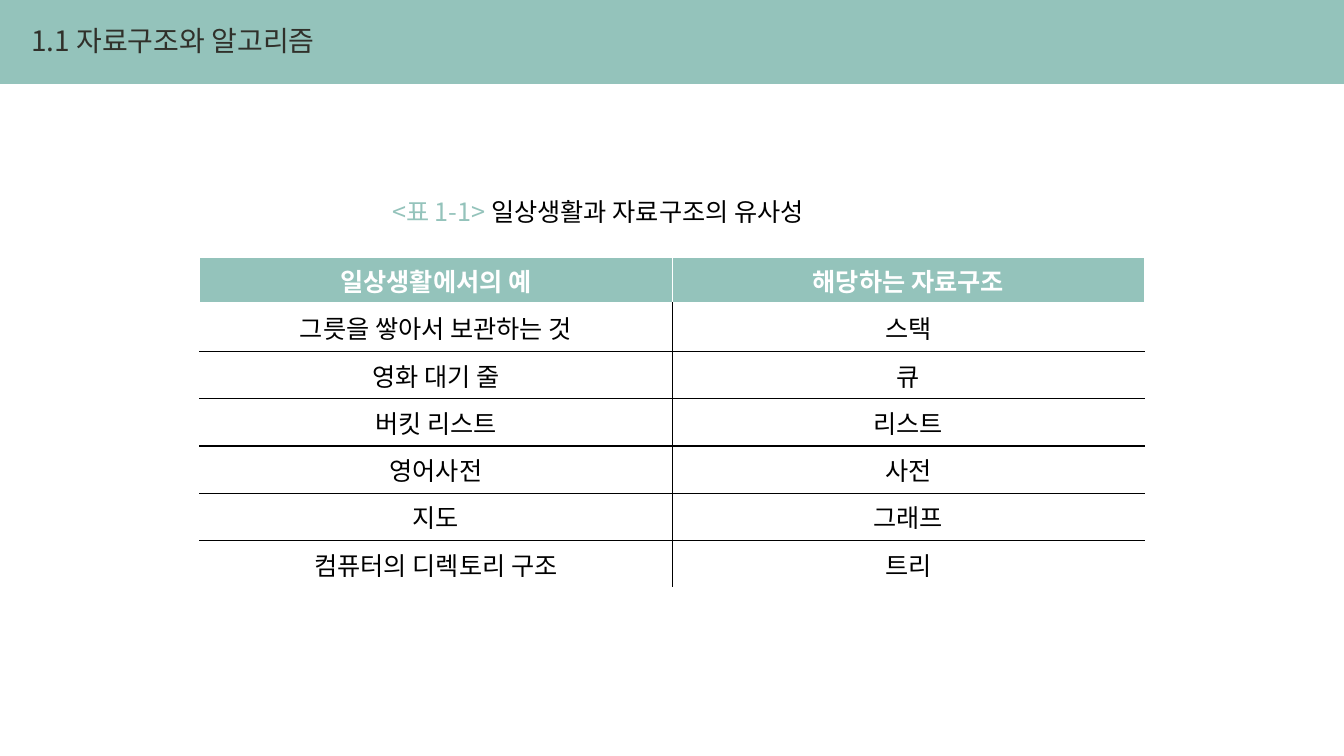
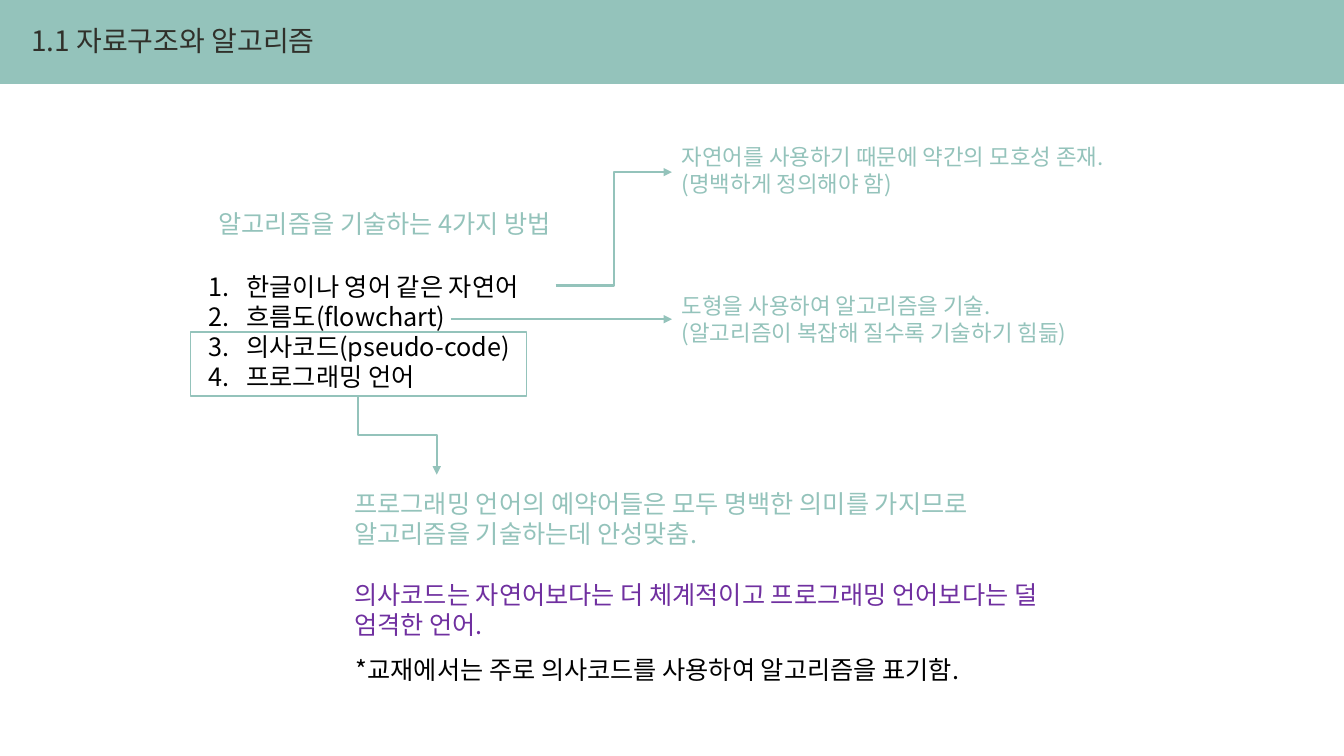
from lxml import etree
from pptx import Presentation
from pptx.dml.color import RGBColor
from pptx.enum.shapes import MSO_CONNECTOR, MSO_SHAPE
from pptx.enum.text import MSO_ANCHOR, PP_ALIGN
from pptx.oxml.ns import qn
from pptx.util import Pt

TEAL = RGBColor(0x94, 0xC3, 0xBB)
DARK = RGBColor(0x30, 0x30, 0x2A)
PURPLE = RGBColor(0x70, 0x30, 0xA0)
BLACK = RGBColor(0, 0, 0)
WHITE = RGBColor(255, 255, 255)
FONT = "Noto Sans CJK KR"
STRAIGHT, ELBOW = MSO_CONNECTOR.STRAIGHT, MSO_CONNECTOR.ELBOW
RECTANGLE = MSO_SHAPE.RECTANGLE
LEFT, CENTER = PP_ALIGN.LEFT, PP_ALIGN.CENTER
MIDDLE = MSO_ANCHOR.MIDDLE
TITLE = "1.1 자료구조와 알고리즘"


def add_run(p, text, size=18, color=BLACK, bold=False):
    """Append a run set in FONT for both Latin and Korean text."""
    r = p.add_run()
    r.text = text
    r.font.size = Pt(size)
    r.font.bold = bold
    r.font.color.rgb = color
    r.font.name = FONT
    etree.SubElement(r._r.get_or_add_rPr(), qn("a:ea"), typeface=FONT)


def add_text(s, left, top, width, height, *lines, numbered=False, **fmt):
    """Add a text box with one paragraph per line."""
    box = s.shapes.add_textbox(Pt(left), Pt(top), Pt(width), Pt(height))
    tf = box.text_frame
    tf.word_wrap = True
    for i, line in enumerate(lines):
        p = tf.add_paragraph() if i else tf.paragraphs[0]
        if numbered:
            pPr = p._p.get_or_add_pPr()
            pPr.set("marL", str(Pt(27)))
            pPr.set("indent", str(-Pt(27)))
            etree.SubElement(pPr, qn("a:buFont"), typeface="+mj-lt")
            etree.SubElement(pPr, qn("a:buAutoNum"), type="arabicPeriod")
        add_run(p, line, **fmt)
    return box


prs = Presentation()
prs.slide_width, prs.slide_height = Pt(960), Pt(540)

# Shared: teal background, white panel and title place
layout = prs.slide_layouts[5]
fill = prs.slide_master.background.fill
fill.solid()
fill.fore_color.rgb = TEAL
title = layout.placeholders[0]
title.left, title.top, title.width, title.height = Pt(15), Pt(13), Pt(320), Pt(32)

table_slide, methods_slide = [prs.slides.add_slide(layout) for _ in range(2)]
panel = table_slide.shapes.add_shape(RECTANGLE, 0, Pt(60), Pt(960), Pt(480))
panel.shadow.inherit = False
panel.fill.solid()
panel.fill.fore_color.rgb = WHITE
panel.line.fill.background()
layout.shapes.element.insert(2, panel.element)

for s in prs.slides:
    tf = s.shapes.title.text_frame
    tf.vertical_anchor = MIDDLE
    p = tf.paragraphs[0]
    p.alignment = LEFT
    add_run(p, TITLE, size=20, color=DARK)

# Slide 1: table
s = table_slide
caption = add_text(s, 273, 137, 662, 29, "<표 1-1> ", color=TEAL)
add_run(caption.text_frame.paragraphs[0], "일상생활과 자료구조의 유사성")

rows = [
    ("일상생활에서의 예", "해당하는 자료구조"),
    ("그릇을 쌓아서 보관하는 것", "스택"),
    ("영화 대기 줄", "큐"),
    ("버킷 리스트", "리스트"),
    ("영어사전", "사전"),
    ("지도", "그래프"),
    ("컴퓨터의 디렉토리 구조", "트리"),
]
last = len(rows) - 1
table = s.shapes.add_table(len(rows), 2, Pt(142.6), Pt(183.6),
                           Pt(675), Pt(33.75 * len(rows))).table
table.horz_banding = False
for i, row in enumerate(rows):
    for j, text in enumerate(row):
        cell = table.cell(i, j)
        cell.vertical_anchor = MIDDLE
        cell.fill.solid()
        cell.fill.fore_color.rgb = WHITE if i else TEAL
        p = cell.text_frame.paragraphs[0]
        p.alignment = CENTER
        add_run(p, text, color=BLACK if i else WHITE, bold=i == 0)
        black_sides = {
            "lnL": i > 0 and j == 1,
            "lnR": i > 0 and j == 0,
            "lnT": i > 1,
            "lnB": 0 < i < last,
        }
        tcPr = cell._tc.get_or_add_tcPr()
        for k, (side, black) in enumerate(black_sides.items()):
            header_rule = (i, side) in ((0, "lnB"), (1, "lnT"))
            ln = etree.Element(qn(f"a:{side}"), w=str(Pt(3 if header_rule else 1)))
            solid = etree.SubElement(ln, qn("a:solidFill"))
            etree.SubElement(solid, qn("a:srgbClr"), val=str(BLACK if black else WHITE))
            tcPr.insert(k, ln)

# Slide 2: four ways to describe an algorithm
s = methods_slide
add_text(s, 142, 190, 725, 94, "한글이나 영어 같은 자연어", "흐름도(flowchart)",
         "의사코드(pseudo-code)", "프로그래밍 언어", numbered=True)
add_text(s, 149, 145, 284, 29, "알고리즘을 기술하는 4가지 방법", color=TEAL)
add_text(s, 480, 99, 423, 46, "자연어를 사용하기 때문에 약간의 모호성 존재.",
         "(명백하게 정의해야 함)", size=16, color=TEAL)
flowchart_note = add_text(s, 480, 205, 423, 46, "도형을 사용하여 알고리즘을 기술.",
                          "(알고리즘이 복잡해 질수록 기술하기 힘듦)", size=16, color=TEAL)
code_note = add_text(s, 246, 345, 507, 117,
                     "프로그래밍 언어의 예약어들은 모두 명백한 의미를 가지므로 "
                     "알고리즘을 기술하는데 안성맞춤.", color=TEAL)
p = code_note.text_frame.add_paragraph()
p.space_before = Pt(22)
add_run(p, "의사코드는 자연어보다는 더 체계적이고 프로그래밍 언어보다는 덜 엄격한 언어.",
        color=PURPLE)
add_text(s, 247, 464, 620, 29, "*교재에서는 주로 의사코드를 사용하여 알고리즘을 표기함.")

frame = s.shapes.add_shape(RECTANGLE, Pt(136), Pt(237), Pt(240), Pt(46))
frame.shadow.inherit = False
frame.fill.background()
frame.line.color.rgb = TEAL
frame.line.width = Pt(1)

language_arrow = s.shapes.add_connector(ELBOW, Pt(397), Pt(204), Pt(480), Pt(123))
flowchart_arrow = s.shapes.add_connector(STRAIGHT, Pt(322), Pt(228), Pt(480), Pt(228))
flowchart_arrow.end_connect(flowchart_note, 1)
# A quarter turn makes this elbow leave the frame downwards
code_arrow = s.shapes.add_connector(ELBOW, Pt(312), Pt(283), Pt(256), Pt(339))
code_arrow.element.spPr.find(qn("a:xfrm")).set("rot", "16200000")
for arrow in (language_arrow, flowchart_arrow, code_arrow):
    arrow.line.color.rgb = TEAL
    arrow.line.width = Pt(1.5)
    spPr = arrow.element.spPr
    etree.SubElement(spPr.find(qn("a:ln")), qn("a:tailEnd"), type="triangle")
    etree.SubElement(spPr, qn("a:effectLst"))

prs.save("out.pptx")
